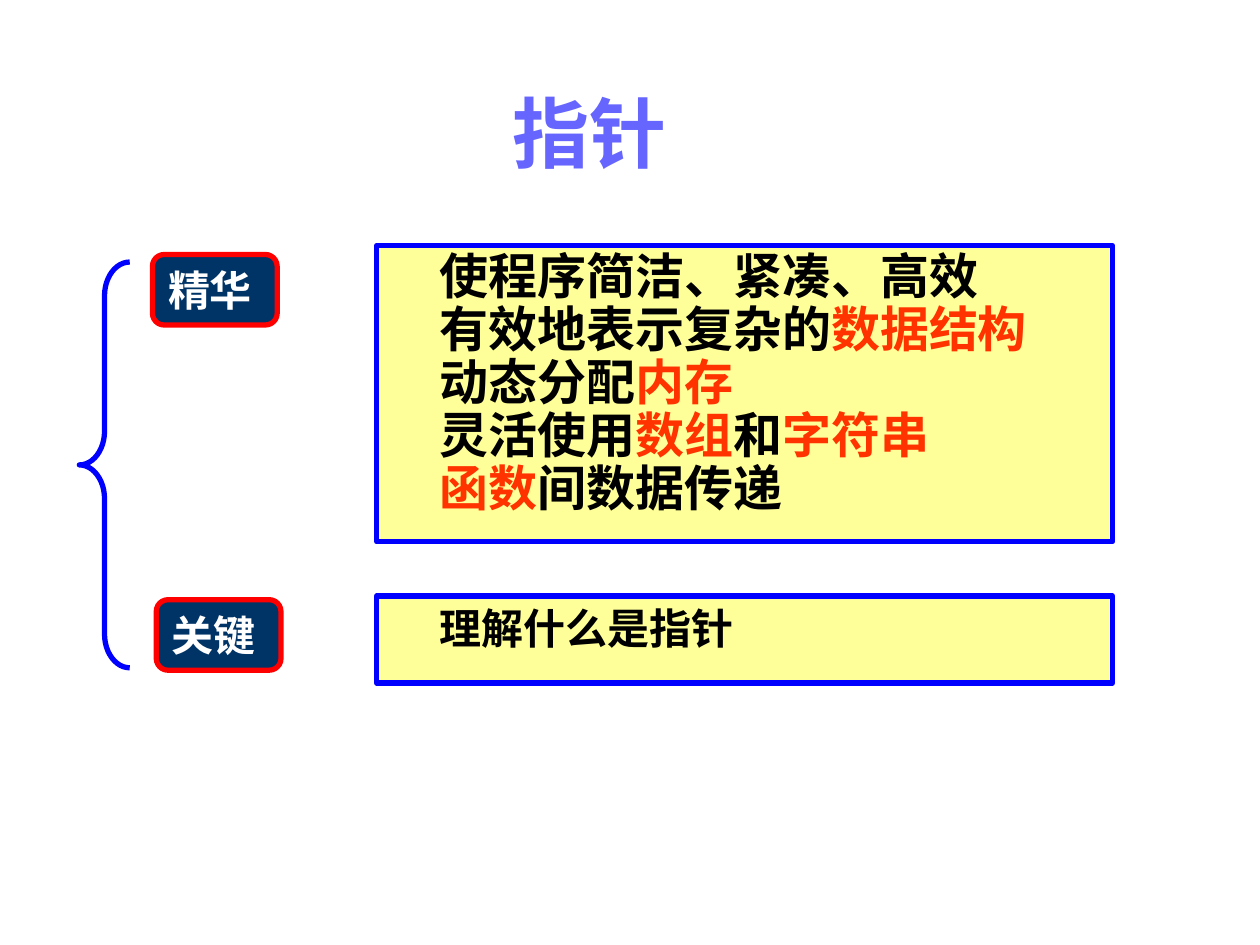
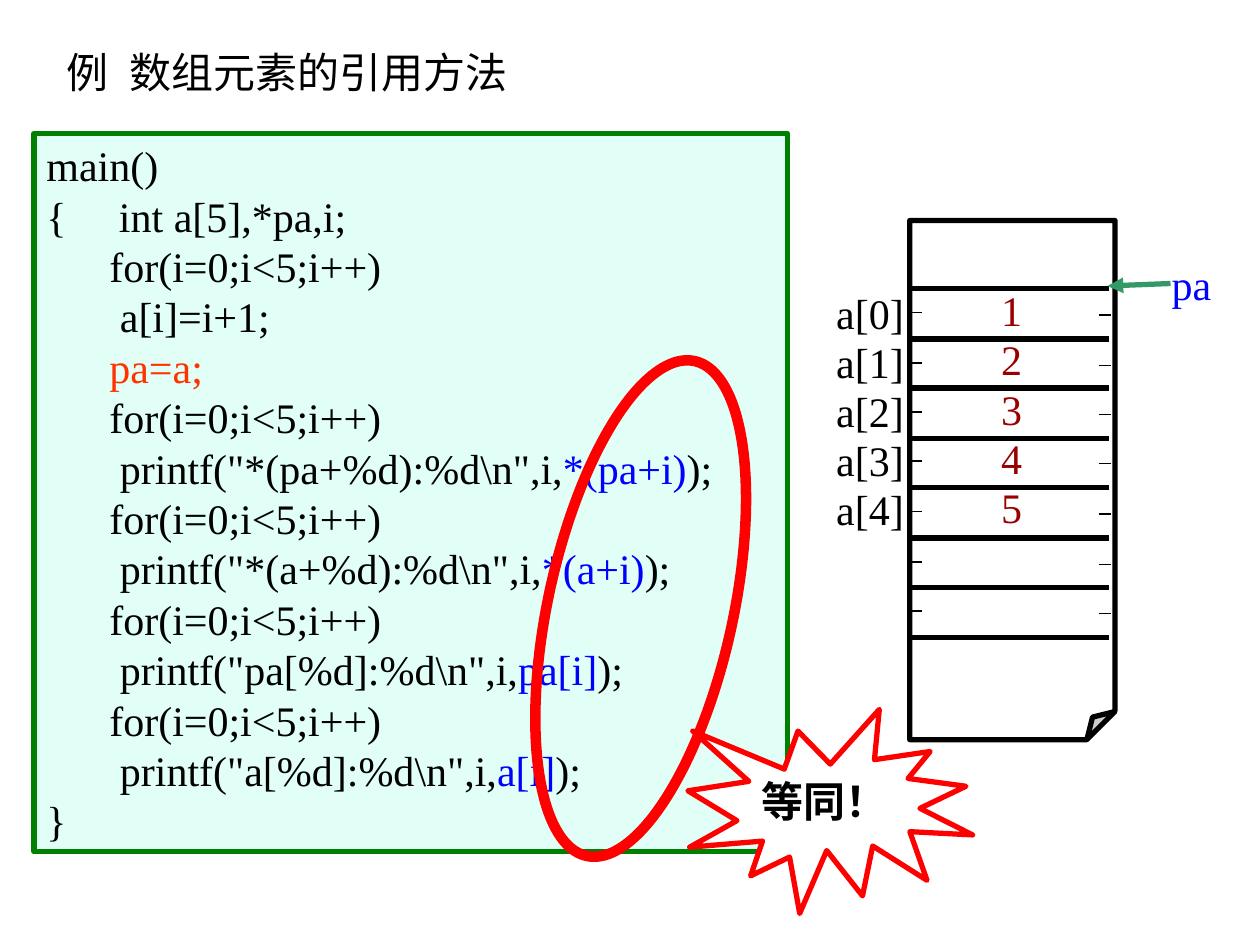
from lxml.etree import SubElement
from pptx import Presentation
from pptx.dml.color import RGBColor
from pptx.enum.shapes import MSO_CONNECTOR as CONNECTOR, MSO_SHAPE as SHAPE
from pptx.enum.text import MSO_ANCHOR as ANCHOR, MSO_AUTO_SIZE as AUTO_SIZE, PP_ALIGN as ALIGN
from pptx.oxml.ns import qn
from pptx.util import Pt

PX = 9144  # EMU per px, 100 px to the inch
FONT = "Times New Roman"
BLACK, WHITE, RED, BLUE = "000000", "FFFFFF", "FF0000", "0000FF"
ORANGE, DARK_RED, GREEN = "FF3300", "990000", "339966"
TITLE_COLOR, NAVY, YELLOW = "6666FF", "003366", "FFFF99"
CODE_FILL, CODE_EDGE = "E1FFF7", "008000"
TITLE_ONLY, TITLE_AND_BODY = 5, 1
LIST_INDENT = 40
LOOP = ["      for(i=0;i<5;i++)"]


def rgb(color):
    return RGBColor.from_string(color)


def box(left, top, width, height):
    return [round(value * PX) for value in (left, top, width, height)]


def place(shape, *bounds):
    shape.left, shape.top, shape.width, shape.height = box(*bounds)


def paint(shape, fill, line, weight=3):
    if fill:
        shape.fill.solid()
        shape.fill.fore_color.rgb = rgb(fill)
    else:
        shape.fill.background()
    shape.line.color.rgb = rgb(line)
    shape.line.width = Pt(weight)


def write(shape, lines, size=24, color=BLACK, bold=False, align=ALIGN.LEFT,
          anchor=ANCHOR.TOP, wrap=False, spacing=None, indent=0):
    """Each line is a list of parts: plain text, or (text, color)."""
    frame = shape.text_frame
    frame.auto_size = AUTO_SIZE.NONE
    frame.word_wrap = wrap
    frame.vertical_anchor = anchor
    for number, parts in enumerate(lines):
        paragraph = frame.paragraphs[0] if number == 0 else frame.add_paragraph()
        paragraph.alignment = align
        paragraph.space_before = Pt(0)
        if spacing:
            paragraph.line_spacing = spacing
        properties = paragraph._p.get_or_add_pPr()
        properties.set("marL", str(indent * PX))
        properties.set("indent", "0")
        SubElement(properties, qn("a:buNone"))
        for part in parts:
            text, part_color = (part, color) if isinstance(part, str) else part
            run = paragraph.add_run()
            run.text = text
            run.font.name = FONT
            run.font.size = Pt(size)
            run.font.bold = bold
            run.font.color.rgb = rgb(part_color)


def add_shape(slide, kind, bounds, fill, line, weight=3):
    shape = slide.shapes.add_shape(kind, *box(*bounds))
    shape.shadow.inherit = False
    paint(shape, fill, line, weight)
    return shape


def set_guide(shape, name, value):
    """Set one adjustment of a preset outline, in 1/100000."""
    guides = shape._element.spPr.find(qn("a:prstGeom")).get_or_add_avLst()
    for guide in list(guides):
        guides.remove(guide)
    SubElement(guides, qn("a:gd"), name=name, fmla=f"val {value}")


def add_label(slide, text, bounds, color=BLACK):
    label = slide.shapes.add_textbox(*box(*bounds))
    write(label, [[text]], color=color, align=ALIGN.CENTER, anchor=ANCHOR.MIDDLE)


def add_line(slide, start, end, color=BLACK, weight=3.0, arrow=False):
    line = slide.shapes.add_connector(CONNECTOR.STRAIGHT, *box(*start, *end))
    line.line.color.rgb = rgb(color)
    line.line.width = Pt(weight)
    if arrow:
        outline = line._element.spPr.find(qn("a:ln"))
        SubElement(outline, qn("a:tailEnd"), type="triangle")
    SubElement(line._element.spPr, qn("a:effectLst"))


def add_slide(presentation, layout):
    return presentation.slides.add_slide(presentation.slide_layouts[layout])


def add_badge(slide, text, left, top):
    badge = add_shape(slide, SHAPE.ROUNDED_RECTANGLE, (left, top, 99, 56), NAVY, RED)
    write(badge, [[text]], color=WHITE, bold=True, align=ALIGN.CENTER, anchor=ANCHOR.MIDDLE)


def add_memory(slide):
    left, right, first_row = 722, 880, 229
    sheet = add_shape(slide, SHAPE.FOLDED_CORNER, (left, 175, 163, 412), WHITE, BLACK)
    set_guide(sheet, "adj", 13700)
    for row in range(8):
        y = first_row + round(row * 277 / 7)
        add_line(slide, (left, y), (right, y))
    for row in range(7):
        y = 248 + round(row * 39.5)
        add_line(slide, (left, y), (left + 10, y), weight=0.75)
        add_line(slide, (872, y + 2), (882, y + 2), weight=0.75)
    for index in range(5):
        add_label(slide, f"a[{index}]", (654, 223 + 39 * index, 73, 50))
        add_label(slide, str(index + 1), (785, 221 + 39 * index, 36, 50), DARK_RED)
    add_line(slide, (929, 225), (879, 227), GREEN, arrow=True)
    add_label(slide, "pa", (920, 200, 51, 50), BLUE)


def printf_lines(expression, label):
    return [LOOP, [f'\t printf("{label}:%d\\n",i,', (expression, BLUE), ");"]]


def build_pointer_slide(presentation):
    slide = add_slide(presentation, TITLE_AND_BODY)
    title, body = slide.placeholders
    place(title, 124, 67, 688, 75)
    write(title, [["指针"]], 44, TITLE_COLOR, True, ALIGN.CENTER, ANCHOR.MIDDLE, True)

    # Benefits and key point
    place(body, 299, 195, 584, 235)
    paint(body, YELLOW, BLUE)
    benefits = [
        ["使程序简洁、紧凑、高效"],
        ["有效地表示复杂的", ("数据结构", ORANGE)],
        ["动态分配", ("内存", ORANGE)],
        ["灵活使用", ("数组", ORANGE), "和", ("字符串", ORANGE)],
        [("函数", ORANGE), "间数据传递"],
    ]
    write(body, benefits, 28, bold=True, wrap=True, spacing=0.9, indent=LIST_INDENT)
    key_point = add_shape(slide, SHAPE.RECTANGLE, (299, 473, 584, 69), YELLOW, BLUE)
    write(key_point, [["理解什么是指针"]], bold=True, wrap=True, indent=LIST_INDENT)

    # Brace and badges
    brace = add_shape(slide, SHAPE.LEFT_BRACE, (63, 208, 40, 322), None, BLUE)
    set_guide(brace, "adj1", 67000)
    add_badge(slide, "精华 ", 121, 202)
    add_badge(slide, "关键 ", 124, 476)


def build_array_slide(presentation):
    slide = add_slide(presentation, TITLE_ONLY)
    title = slide.shapes.title
    place(title, 43, 32, 376, 50)
    write(title, [["例\t数组元素的引用方法"]])
    tabs = SubElement(title.text_frame.paragraphs[0]._p.pPr, qn("a:tabLst"))
    SubElement(tabs, qn("a:tab"), pos=str(57 * PX), algn="l")

    add_memory(slide)

    # Program
    code = [["main()"], ["{     int a[5],*pa,i;"], LOOP, ["\t a[i]=i+1;"],
            [("      pa=a;", ORANGE)]]
    for expression, label in (("*(pa+i)", "*(pa+%d)"), ("*(a+i)", "*(a+%d)"),
                              ("pa[i]", "pa[%d]"), ("a[i]", "a[%d]")):
        code += printf_lines(expression, label)
    code.append(["}"])
    program = add_shape(slide, SHAPE.RECTANGLE, (27, 106, 598, 570), CODE_FILL, CODE_EDGE)
    write(program, code, spacing=Pt(28.8))

    # Equivalent expressions
    ring = add_shape(slide, SHAPE.OVAL, (435, 282, 147, 402), None, RED, 6)
    ring.rotation = 12.3
    burst = add_shape(slide, SHAPE.EXPLOSION1, (546, 563, 226, 162), WHITE, RED)
    write(burst, [["等同！"]], bold=True)


def main():
    presentation = Presentation()
    presentation.slide_width, presentation.slide_height = 1000 * PX, 750 * PX
    build_pointer_slide(presentation)
    build_array_slide(presentation)
    presentation.save("out.pptx")


if __name__ == "__main__":
    main()
